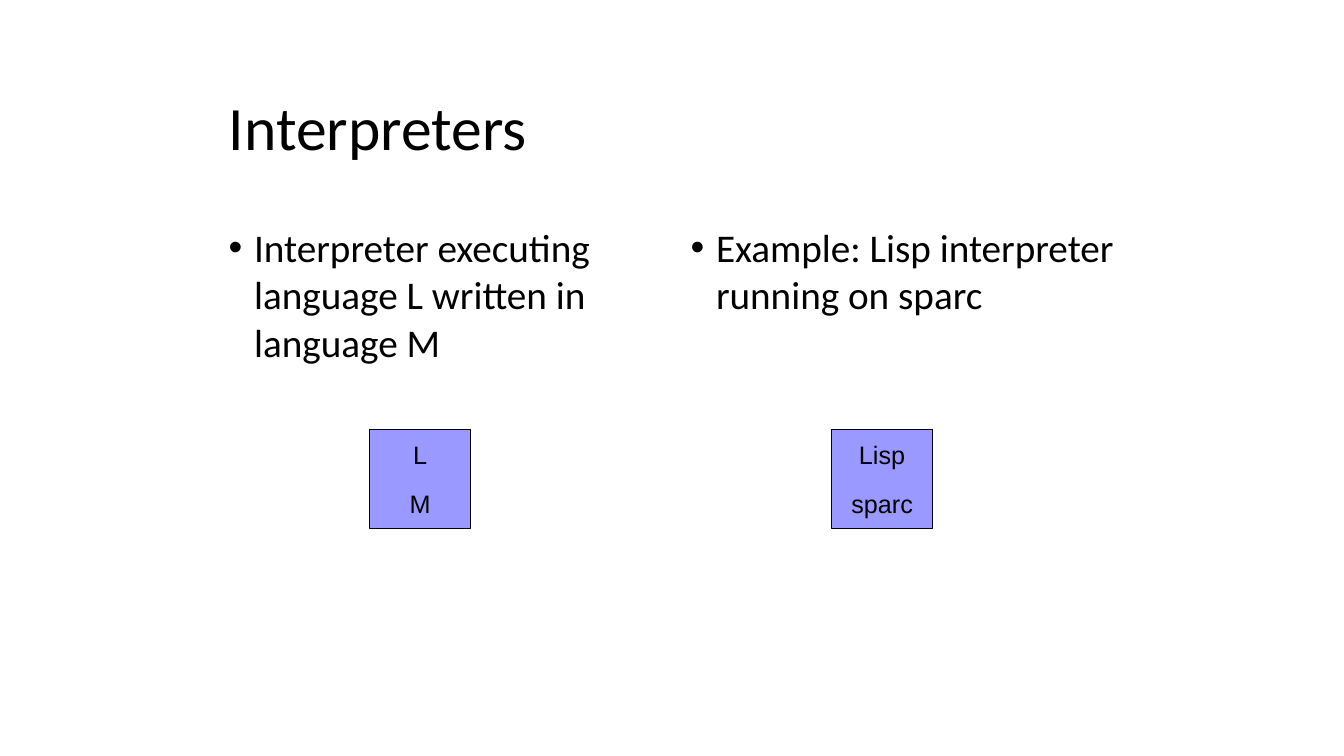
import pptx
import pptx.dml.color
import pptx.enum.shapes
import pptx.enum.text
import pptx.oxml
import pptx.oxml.ns
import pptx.util
from pptx.util import Cm

ANCHOR = pptx.enum.text.MSO_ANCHOR
ALIGN = pptx.enum.text.PP_ALIGN
ROUNDED = pptx.enum.shapes.MSO_SHAPE.ROUNDED_RECTANGLE


def color(hex_value):
    return pptx.dml.color.RGBColor.from_string(hex_value)


def write(shape, text, size, font, hex_value="000000", align=ALIGN.LEFT,
          anchor=ANCHOR.TOP, bullet=False):
    """Put one formatted paragraph into a shape."""
    frame = shape.text_frame
    frame.word_wrap = True
    frame.auto_size = pptx.enum.text.MSO_AUTO_SIZE.NONE
    frame.vertical_anchor = anchor
    frame.text = text
    paragraph = frame.paragraphs[0]
    paragraph.alignment = align
    paragraph.space_before = pptx.util.Pt(0)
    if bullet:
        properties = paragraph._p.get_or_add_pPr()
        properties.set("marL", str(Cm(0.64)))
        properties.set("indent", str(-Cm(0.64)))
        namespace = pptx.oxml.ns.nsdecls("a")
        for xml in (f'<a:buFont {namespace} typeface="Arial"/>',
                    f'<a:buChar {namespace} char="•"/>'):
            properties.append(pptx.oxml.parse_xml(xml))
    run_font = paragraph.runs[0].font
    run_font.size = pptx.util.Pt(size)
    run_font.name = font
    run_font.color.rgb = color(hex_value)


class InterpreterSlide:
    heading_font = "Calibri"
    label_font = "Arial"
    fill = "9999FF"
    outline = "000000"
    box_width = 2.54
    half_height = 1.25

    def __init__(self, presentation):
        self.slide = presentation.slides.add_slide(presentation.slide_layouts[3])

    def place(self, index, left, top, width, height):
        placeholder = self.slide.placeholders[index]
        placeholder.left, placeholder.top = Cm(left), Cm(top)
        placeholder.width, placeholder.height = Cm(width), Cm(height)
        return placeholder

    def title(self, text, left, top, width, height):
        write(self.place(0, left, top, width, height), text, 44,
              self.heading_font, anchor=ANCHOR.MIDDLE)

    def bullet(self, index, text, left, top, width, height):
        write(self.place(index, left, top, width, height), text, 28,
              self.heading_font, bullet=True)

    def block(self, group, left, top, height):
        shape = group.shapes.add_shape(ROUNDED, Cm(left), Cm(top),
                                       Cm(self.box_width), Cm(height))
        shape.adjustments[0] = 0
        shape.shadow.inherit = False
        return shape

    def interpreter(self, labels, left, top):
        """Stack the interpreted language on the implementing one."""
        group = self.slide.shapes.add_group_shape()
        for row, label in enumerate(labels):
            half = self.block(group, left, top + row * self.half_height,
                              self.half_height)
            half.fill.solid()
            half.fill.fore_color.rgb = color(self.fill)
            half.line.fill.background()
            write(half, label, 18, self.label_font, align=ALIGN.CENTER,
                  anchor=ANCHOR.MIDDLE)
        frame = self.block(group, left, top, len(labels) * self.half_height)
        frame.fill.background()
        frame.line.color.rgb = color(self.outline)
        frame.line.width = pptx.util.Pt(0.75)


def main():
    presentation = pptx.Presentation()
    presentation.slide_width = Cm(33.87)
    presentation.slide_height = Cm(19.05)
    page = InterpreterSlide(presentation)

    # Title
    left, column_step = 5.51, 11.64
    page.title("Interpreters", left, 2.11, 22.86, 2.13)

    # Two columns: a statement above its diagram
    columns = [
        ("Interpreter executing language L written in language M", 3.84, ("L", "M")),
        ("Example: Lisp interpreter running on sparc", 2.64, ("Lisp", "sparc")),
    ]
    for number, (text, height, labels) in enumerate(columns):
        column_left = left + number * column_step
        page.bullet(number + 1, text, column_left, 5.51, 11.23, height)
        page.interpreter(labels, column_left + 3.81, 10.82)

    presentation.save("out.pptx")


if __name__ == "__main__":
    main()
